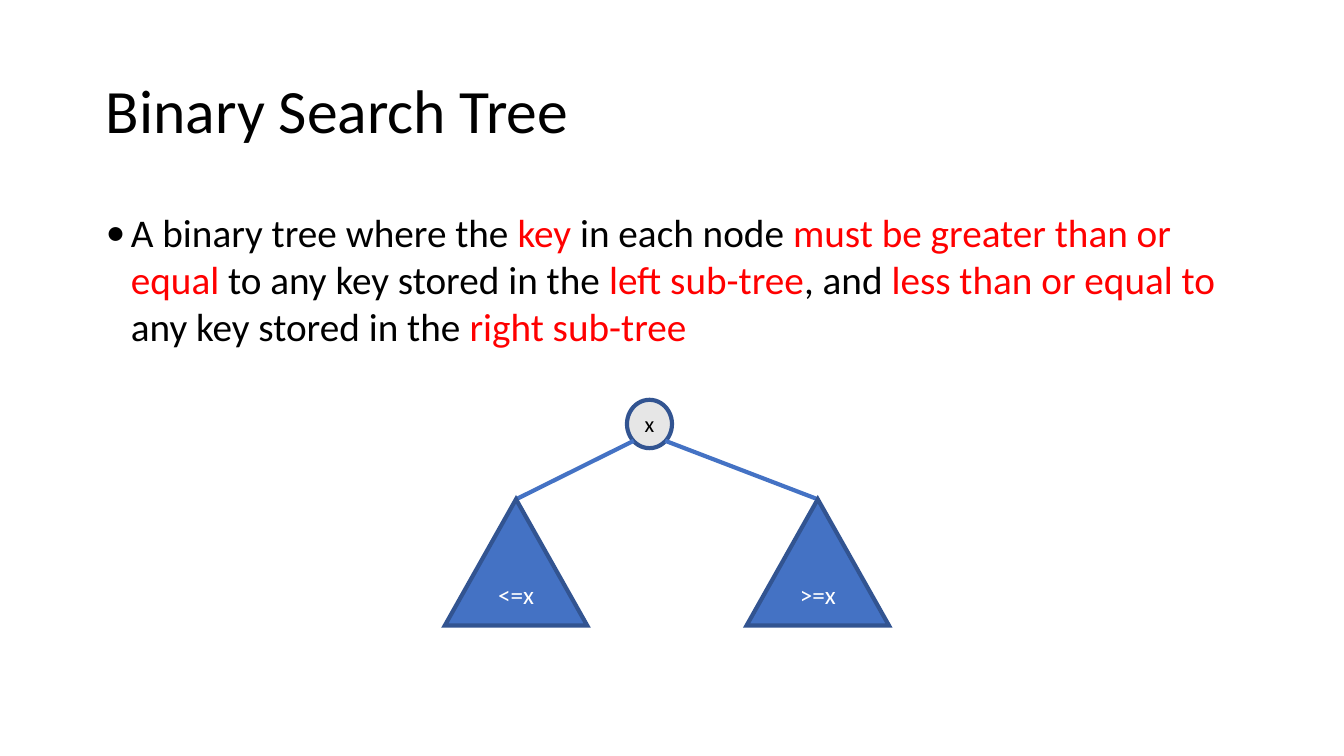
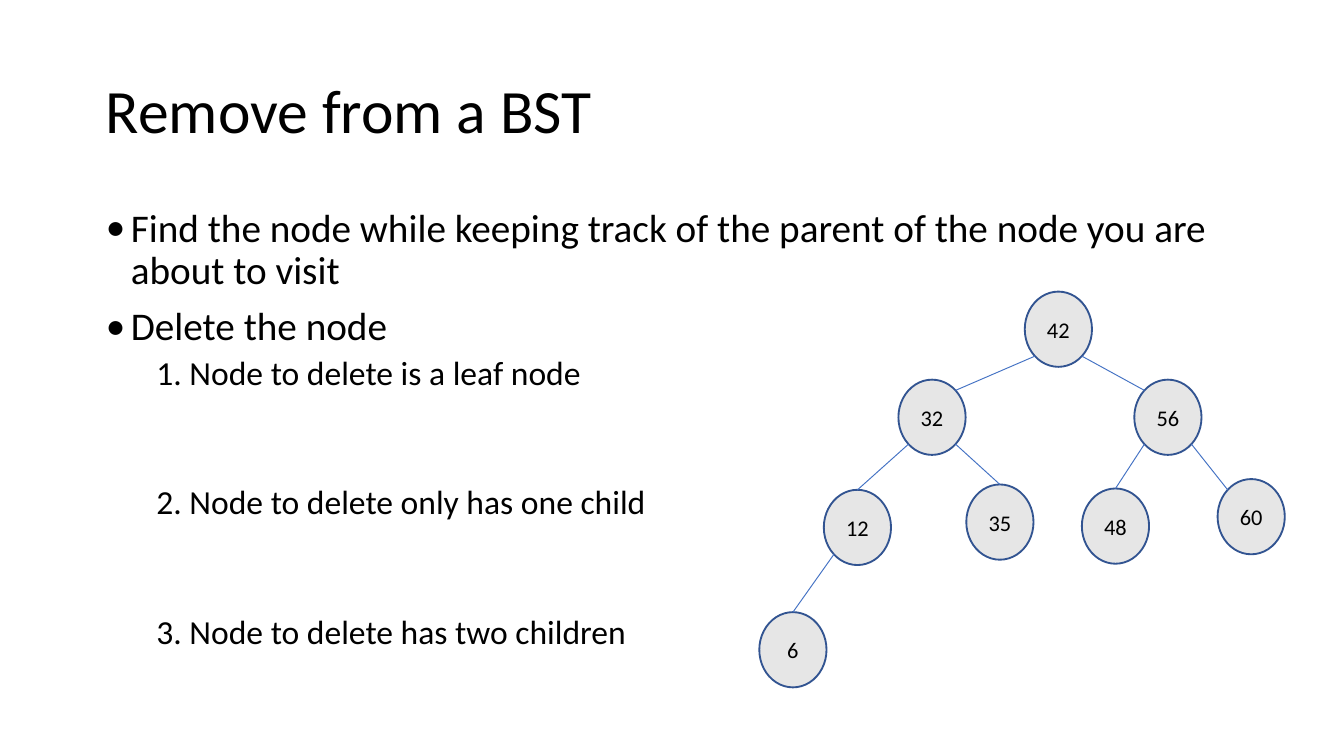
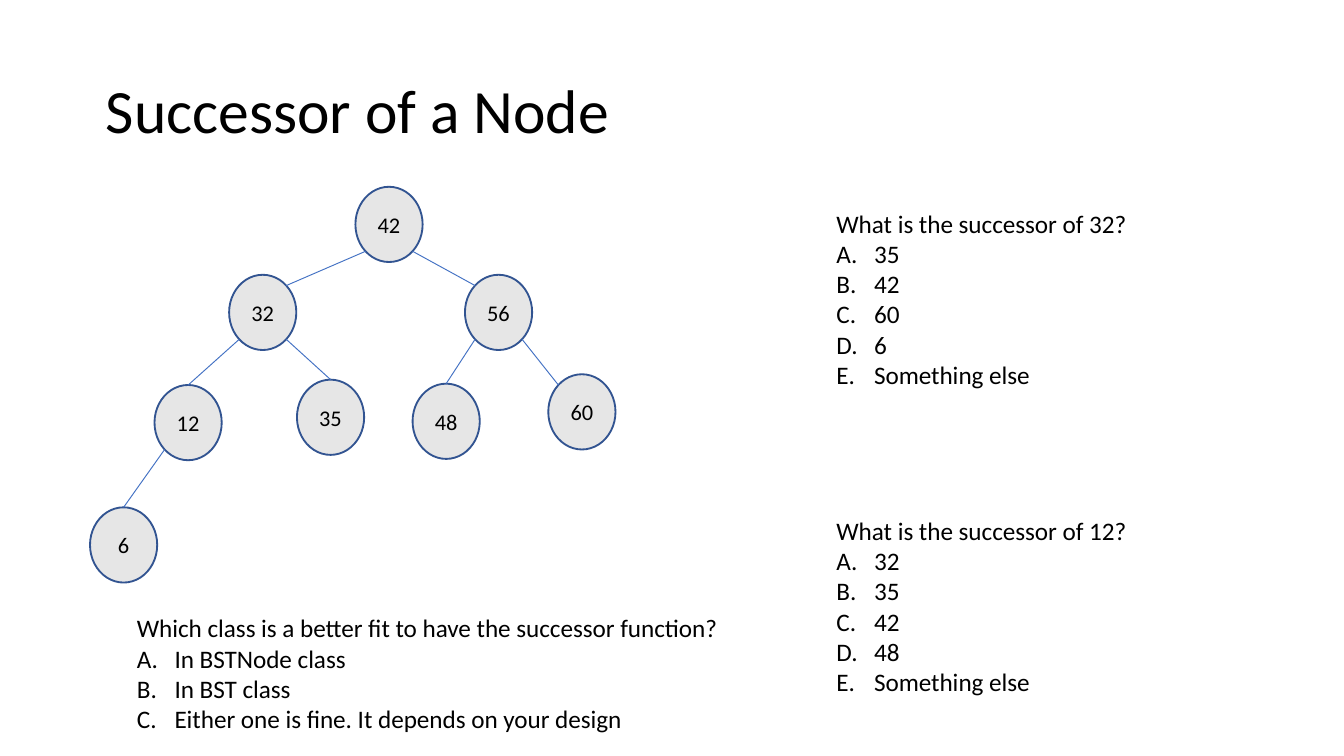
import dataclasses
import math

import lxml.etree
import pptx
import pptx.dml.color
import pptx.enum.shapes
import pptx.enum.text
import pptx.oxml.ns
import pptx.util

PX = 4572  # EMU in one px: 200 px to the inch
SHAPES = pptx.enum.shapes.MSO_SHAPE
ALIGN = pptx.enum.text.PP_ALIGN
MIDDLE = pptx.enum.text.MSO_ANCHOR.MIDDLE


@dataclasses.dataclass(frozen=True)
class Theme:
    font: str = "Calibri"
    text: str = "000000"
    highlight: str = "FF0000"
    inverse: str = "FFFFFF"
    node: str = "E6E6E6"
    outline: str = "325491"
    accent: str = "4472C4"
    title_size: float = 33
    body_size: float = 21
    step_size: float = 18
    small_size: float = 13.5
    node_size: float = 12
    tight: float = 0.9


# key: (x, y from the root, parent key, whether the edge ends at the node's top)
TREE = {
    42: (0, 0, None, False),
    32: (-188, 131, 42, False),
    12: (-299, 295, 32, True),
    56: (163, 131, 42, False),
    35: (-87, 287, 32, True),
    60: (287, 279, 56, False),
    6: (-395, 477, 12, True),
    48: (85, 293, 56, True),
}
NODE_WIDTH, NODE_HEIGHT = 100, 112


def rgb(color):
    return pptx.dml.color.RGBColor.from_string(color)


def add_element(parent, tag, **attributes):
    lxml.etree.SubElement(parent, pptx.oxml.ns.qn(tag), attributes)


def diagonal_point(box, right, lower):
    """Point on an ellipse's outline at 45 degrees."""
    left, top, width, height = box
    reach = math.sqrt(0.5)
    return (round(left + width / 2 * (1 + (reach if right else -reach))),
            round(top + height / 2 * (1 + (reach if lower else -reach))))


class Deck:
    def __init__(self, theme, width, height):
        self.theme = theme
        self.presentation = pptx.Presentation()
        self.presentation.slide_width = width * PX
        self.presentation.slide_height = height * PX
        self.slide = None

    def add_slide(self, title):
        blank = self.presentation.slide_layouts[6]
        self.slide = self.presentation.slides.add_slide(blank)
        heading = self.text_box(138, 60, 1724, 218)
        heading.vertical_anchor = MIDDLE
        self.paragraph(heading, title, self.theme.title_size, line=self.theme.tight)

    def text_box(self, left, top, width, height, wrap=True):
        box = self.slide.shapes.add_textbox(left * PX, top * PX, width * PX, height * PX)
        box.text_frame.word_wrap = wrap
        return box.text_frame

    def paragraph(self, frame, text, size, color=None, align=None, line=None,
                  before=None, margin=0, hang=0, bullet=None, numbered=False):
        """Add text, given as a string or as (string, highlighted) parts."""
        paragraph = frame.add_paragraph() if frame.text else frame.paragraphs[0]
        properties = paragraph._p.get_or_add_pPr()
        if margin:
            properties.set("marL", str(margin * PX))
            properties.set("indent", str(-hang * PX))
        if bullet:
            add_element(properties, "a:buFont", typeface=self.theme.font)
            add_element(properties, "a:buChar", char=bullet)
        if numbered:
            add_element(properties, "a:buAutoNum", type="alphaUcPeriod")
        paragraph.alignment = align
        paragraph.line_spacing = line
        if before:
            paragraph.space_before = pptx.util.Pt(before)
        font = paragraph.font
        font.name = self.theme.font
        font.size = pptx.util.Pt(size)
        font.color.rgb = rgb(color or self.theme.text)
        parts = [(text, False)] if isinstance(text, str) else text
        for words, highlighted in parts:
            run = paragraph.add_run()
            run.text = words
            if highlighted:
                run.font.color.rgb = rgb(self.theme.highlight)
        return paragraph

    def bullet(self, frame, text, **spacing):
        self.paragraph(frame, text, self.theme.body_size, margin=37, hang=37,
                       bullet="•", **spacing)

    def shape(self, preset, box, label, size, fill, color, weight):
        shape = self.slide.shapes.add_shape(preset, *(side * PX for side in box))
        shape.shadow.inherit = False
        shape.fill.solid()
        shape.fill.fore_color.rgb = rgb(fill)
        shape.line.color.rgb = rgb(self.theme.outline)
        shape.line.width = pptx.util.Pt(weight)
        outline = shape._element.spPr.find(pptx.oxml.ns.qn("a:ln"))
        add_element(outline, "a:miter", lim="800000")
        frame = shape.text_frame
        frame.vertical_anchor = MIDDLE
        self.paragraph(frame, label, size, color, ALIGN.CENTER)
        return frame

    def node(self, box, label, weight):
        frame = self.shape(SHAPES.OVAL, box, label, self.theme.node_size,
                           self.theme.node, self.theme.text, weight)
        frame.margin_left = frame.margin_right = 0

    def subtree(self, box, label, weight):
        self.shape(SHAPES.ISOSCELES_TRIANGLE, box, label, self.theme.small_size,
                   self.theme.accent, self.theme.inverse, weight)

    def edge(self, start, end, weight):
        line = self.slide.shapes.add_connector(
            pptx.enum.shapes.MSO_CONNECTOR.STRAIGHT,
            *(value * PX for value in (*start, *end)))
        line.line.color.rgb = rgb(self.theme.accent)
        line.line.width = pptx.util.Pt(weight)
        add_element(line._element.spPr, "a:effectLst")

    def search_tree(self, left, top):
        """Draw TREE with its root's box at left, top."""
        boxes = {}
        for key, (x, y, parent, at_top) in TREE.items():
            box = boxes[key] = (left + x, top + y, NODE_WIDTH, NODE_HEIGHT)
            self.node(box, str(key), 1)
            if parent is None:
                continue
            is_right = box[0] > boxes[parent][0]
            start = diagonal_point(boxes[parent], is_right, True)
            end = ((box[0] + NODE_WIDTH // 2, box[1]) if at_top
                   else diagonal_point(box, not is_right, False))
            self.edge(start, end, 0.5)

    def question(self, left, top, width, height, prompt, answers):
        frame = self.text_box(left, top, width, height, wrap=False)
        frame.auto_size = pptx.enum.text.MSO_AUTO_SIZE.SHAPE_TO_FIT_TEXT
        self.paragraph(frame, prompt, self.theme.small_size)
        for answer in answers:
            self.paragraph(frame, answer, self.theme.small_size, margin=56, hang=56,
                           numbered=True)


def definition_slide(deck):
    deck.add_slide("Binary Search Tree")
    deck.bullet(deck.text_box(138, 300, 1724, 238), [
        ("A binary tree where the ", False),
        ("key", True),
        (" in each node ", False),
        ("must be greater than or equal", True),
        (" to any key stored in the ", False),
        ("left sub-tree", True),
        (", and ", False),
        ("less than or equal to ", True),
        ("any key stored in the ", False),
        ("right sub-tree", True),
    ])
    weight = 2.25
    root = (933, 595, 67, 72)
    deck.node(root, "x", weight)
    width, height, top = 212, 188, 743
    for left, label, is_right in ((662, "<=x", False), (1111, ">=x", True)):
        deck.edge(diagonal_point(root, is_right, True), (left + width // 2, top), weight)
        deck.subtree((left, top, width, height), label, weight)


def removal_slide(deck):
    deck.add_slide("Remove from a BST")
    tight = deck.theme.tight
    body = deck.text_box(138, 300, 1724, 714)
    deck.bullet(body, "Find the node while keeping track of the parent of the node "
                      "you are about to visit", line=tight)
    deck.bullet(body, "Delete the node", line=tight, before=7.5)
    cases = (("1. Node to delete is a leaf node", 3.8),
             ("2. Node to delete only has one child", 50),
             ("3. Node to delete has two children", 50))
    for case, before in cases:
        step = deck.paragraph(body, case, deck.theme.step_size, line=tight,
                              before=before, margin=75)
        step.level = 1
    deck.search_tree(1525, 434)


def successor_slide(deck):
    deck.add_slide("Successor of a Node")
    deck.search_tree(529, 278)
    deck.question(1225, 300, 478, 292, "What is the successor of 32?",
                  ("35", "42", "60", "6", "Something else"))
    deck.question(1225, 757, 478, 292, "What is the successor of 12?",
                  ("32", "35", "42", "48", "Something else"))
    deck.question(184, 902, 918, 202,
                  "Which class is a better fit to have the successor function?",
                  ("In BSTNode class", "In BST class",
                   "Either one is fine. It depends on your design"))


def main():
    deck = Deck(Theme(), 2000, 1125)
    definition_slide(deck)
    removal_slide(deck)
    successor_slide(deck)
    deck.presentation.save("out.pptx")


if __name__ == "__main__":
    main()
